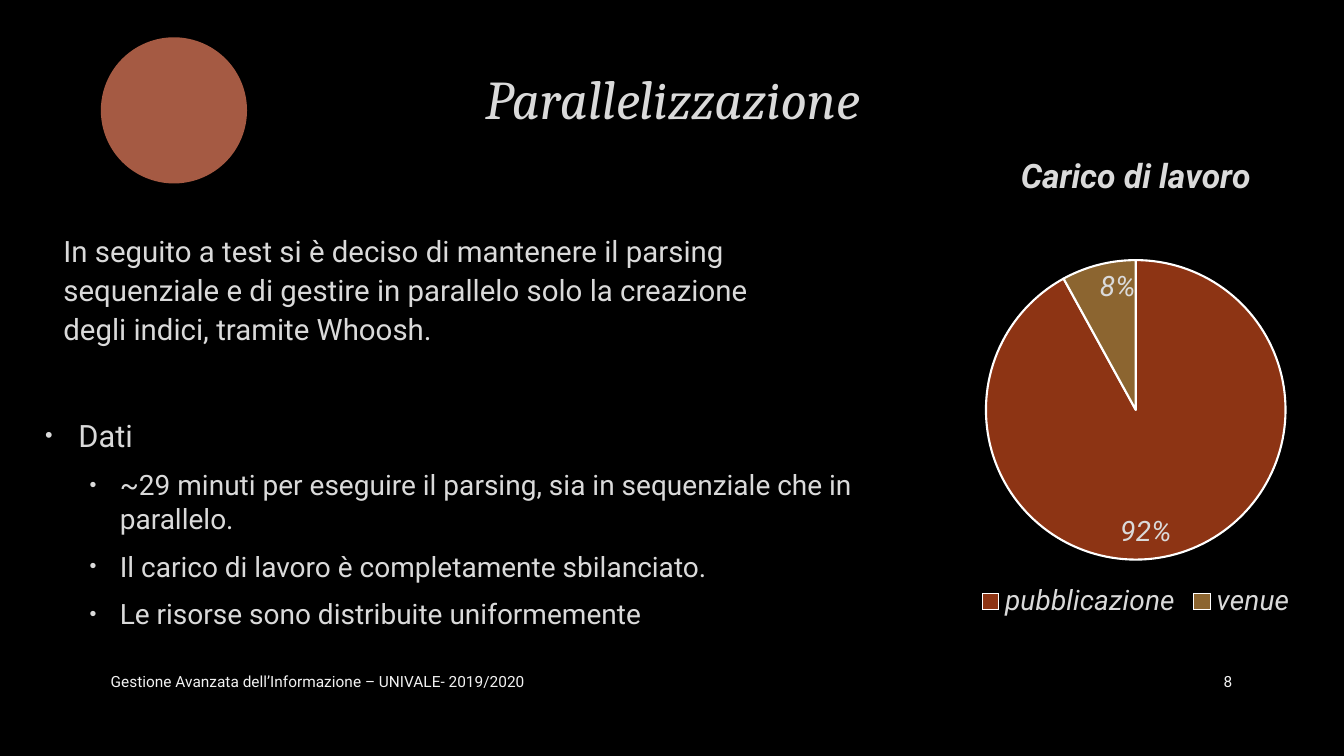
"""Build the slide on parallelisation with its workload pie chart."""
from dataclasses import dataclass

from lxml.etree import SubElement
from pptx import Presentation
from pptx.chart.data import CategoryChartData
from pptx.dml.color import RGBColor
from pptx.enum.chart import XL_CHART_TYPE, XL_LABEL_POSITION, XL_LEGEND_POSITION
from pptx.enum.shapes import MSO_SHAPE
from pptx.enum.text import MSO_ANCHOR, PP_ALIGN
from pptx.oxml import parse_xml
from pptx.oxml.ns import nsdecls, qn
from pptx.util import Inches, Pt


@dataclass(frozen=True)
class Theme:
    heading_font: str = "Cambria"
    body_font: str = "Roboto"
    background: str = "000000"
    text: str = "DADADA"
    footer: str = "F2F2F2"
    accent: str = "A55A43"
    slice_line: str = "FFFFFF"
    slices: tuple = ("8D3414", "8C6530")
    title_size: float = 39
    chart_title_size: float = 24
    lead_size: float = 21
    bullet_sizes: tuple = (22, 20)
    chart_size: float = 20
    footer_size: float = 11


class SlideBuilder:
    """Hold the theme and the current slide, and add elements to it."""

    def __init__(self, slide, theme):
        self.slide = slide
        self.theme = theme
        self.fill(slide.background.fill, theme.background)

    def fill(self, target, color):
        target.solid()
        target.fore_color.rgb = RGBColor.from_string(color)

    def style(self, font, size, color=None, name=None, italic=False):
        font.size = Pt(size)
        font.name = name or self.theme.body_font
        font.italic = italic
        font.color.rgb = RGBColor.from_string(color or self.theme.text)

    def frame(self, area, anchor=MSO_ANCHOR.TOP):
        box = self.slide.shapes.add_textbox(*map(Inches, area))
        box.text_frame.word_wrap = True
        box.text_frame.vertical_anchor = anchor
        return box.text_frame

    def text(self, area, words, size, align=PP_ALIGN.LEFT, anchor=MSO_ANCHOR.MIDDLE,
             line_spacing=1.0, margin=0, **font):
        frame = self.frame(area, anchor)
        frame.text = words
        para = frame.paragraphs[0]
        para.alignment = align
        para.line_spacing = line_spacing
        para._p.get_or_add_pPr().set("marL", str(Inches(margin)))
        self.style(para.runs[0].font, size, **font)

    def bullets(self, area, items):
        frame = self.frame(area)
        frame.text = "\n".join(words for level, words in items)
        for para, (level, words) in zip(frame.paragraphs, items):
            size = self.theme.bullet_sizes[level]
            para.level = level
            para.line_spacing = (1.1, 1.0)[level]
            para.space_before = Pt(size * 0.2)
            para.space_after = Pt(6)
            self.style(para.runs[0].font, size)
            self.bullet(para, *((0.38, -0.33), (0.79, -0.3))[level])

    def bullet(self, para, margin, indent):
        properties = para._p.get_or_add_pPr()
        properties.set("marL", str(Inches(margin)))
        properties.set("indent", str(Inches(indent)))
        color = SubElement(properties, qn("a:buClr"))
        SubElement(color, qn("a:srgbClr"), val=self.theme.text)
        SubElement(properties, qn("a:buSzPct"), val="70000")
        SubElement(properties, qn("a:buFont"), typeface="Arial")
        SubElement(properties, qn("a:buChar"), char="•")

    def circle(self, left, top, size):
        shape = self.slide.shapes.add_shape(
            MSO_SHAPE.OVAL, *map(Inches, (left, top, size, size)))
        shape.shadow.inherit = False
        self.fill(shape.fill, self.theme.accent)
        shape.line.fill.background()

    def pie(self, area, title, shares, plot_layout):
        data = CategoryChartData(number_format="0%")
        data.categories = list(shares)
        data.add_series("Series 1", list(shares.values()))
        chart = self.slide.shapes.add_chart(
            XL_CHART_TYPE.PIE, *map(Inches, area), data).chart
        self.style(chart.font, self.theme.chart_size, italic=True)

        chart.has_title = True
        chart.chart_title.include_in_layout = False
        para = chart.chart_title.text_frame.paragraphs[0]
        para.text = title
        self.style(para.runs[0].font, self.theme.chart_title_size, italic=True)

        chart.has_legend = True
        chart.legend.position = XL_LEGEND_POSITION.BOTTOM
        chart.legend.include_in_layout = False
        self.style(chart.legend.font, self.theme.chart_size, italic=True)

        plot = chart.plots[0]
        plot.vary_by_categories = True
        plot.has_data_labels = True
        labels = plot.data_labels
        labels.show_value = True
        labels.show_percentage = False
        labels.number_format = "0%"
        labels.number_format_is_linked = False
        labels.position = XL_LABEL_POSITION.INSIDE_END
        self.style(labels.font, self.theme.chart_size, italic=True)
        for index, color in enumerate(self.theme.slices):
            point = plot.series[0].points[index]
            self.fill(point.format.fill, color)
            self.fill(point.format.line.fill, self.theme.slice_line)
            point.format.line.width = Pt(1.5)
        self.place_plot(chart, plot_layout)

    def place_plot(self, chart, plot_layout):
        layout = parse_xml(
            f'<c:layout {nsdecls("c")}><c:manualLayout><c:layoutTarget val="inner"/>'
            '<c:xMode val="edge"/><c:yMode val="edge"/></c:manualLayout></c:layout>')
        for key, value in zip("xywh", plot_layout):
            SubElement(layout[0], qn(f"c:{key}"), val=str(value))
        plot_area = chart._chartSpace.chart.plotArea
        for previous in plot_area.findall(qn("c:layout")):
            plot_area.remove(previous)
        plot_area.insert(0, layout)


def main():
    deck = Presentation()
    deck.slide_width, deck.slide_height = Inches(13.33), Inches(7.5)
    theme = Theme()
    page = SlideBuilder(deck.slides.add_slide(deck.slide_layouts[6]), theme)

    page.text((1.01, 0.32, 11.32, 1.38), "Parallelizzazione", theme.title_size,
              align=PP_ALIGN.CENTER, line_spacing=0.9,
              name=theme.heading_font, italic=True)
    page.text((0.49, 2.23, 7.43, 1.78),
              "In seguito a test si è deciso di mantenere il parsing sequenziale e di "
              "gestire in parallelo solo la creazione degli indici, tramite Whoosh.",
              theme.lead_size, anchor=MSO_ANCHOR.TOP, line_spacing=1.1, margin=0.04)
    page.text((1, 6.56, 7.3, 0.4),
              "Gestione Avanzata dell’Informazione – UNIVALE- 2019/2020",
              theme.footer_size, color=theme.footer)
    page.text((11.5, 6.56, 0.82, 0.4), "8", theme.footer_size,
              align=PP_ALIGN.RIGHT, color=theme.footer)
    page.circle(1, 0.37, 1.45)
    page.pie((7.55, 1.31, 7.43, 4.88), "Carico di lavoro",
             {"pubblicazione": 0.92, "venue": 0.08}, (0.3, 0.26, 0.4, 0.61))
    page.bullets((0.3, 4.05, 8.84, 2.14), (
        (0, "Dati"),
        (1, "~29 minuti per eseguire il parsing, sia in sequenziale che in parallelo."),
        (1, "Il carico di lavoro è completamente sbilanciato."),
        (1, "Le risorse sono distribuite uniformemente"),
    ))
    deck.save("out.pptx")


if __name__ == "__main__":
    main()
